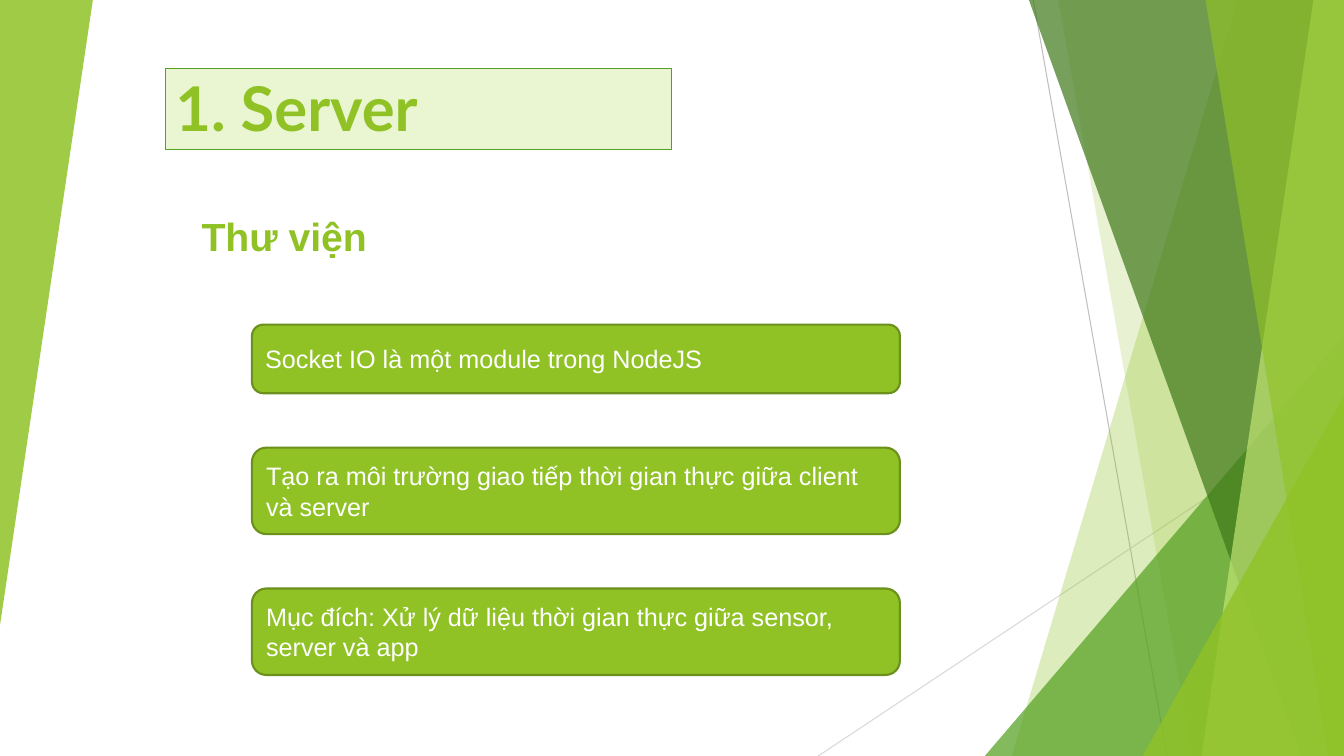
"""Build the slide on the server's library."""
from lxml import etree
from pptx import Presentation
from pptx.dml.color import RGBColor
from pptx.enum.shapes import MSO_CONNECTOR, MSO_SHAPE
from pptx.enum.text import MSO_ANCHOR, PP_ALIGN
from pptx.oxml.ns import qn
from pptx.util import Cm, Pt

STRAIGHT = MSO_CONNECTOR.STRAIGHT
RECTANGLE = MSO_SHAPE.RECTANGLE
ROUNDED = MSO_SHAPE.ROUNDED_RECTANGLE
TRIANGLE = MSO_SHAPE.ISOSCELES_TRIANGLE
TOP, MIDDLE, BOTTOM = MSO_ANCHOR.TOP, MSO_ANCHOR.MIDDLE, MSO_ANCHOR.BOTTOM
LEFT = PP_ALIGN.LEFT

WIDTH, HEIGHT = 33.87, 19.05
LIME, GREEN, WHITE = "90C226", "54A021", "FFFFFF"
OLIVE, FOREST, PALE, MINT = "6B901C", "3F7819", "C0E474", "EAF6D1"

NOTES = [
    ("Socket IO là một module trong NodeJS", 1.73),
    ("Tạo ra môi trường giao tiếp thời gian thực giữa client và server", 2.18),
    ("Mục đích: Xử lý dữ liệu thời gian thực giữa sensor, server và app", 2.18),
]
NOTE_TOP, NOTE_GAP = 8.18, 1.37


def rgb(value):
    """Turn a hex string into a colour."""
    return RGBColor.from_string(value)


def paint(shape, color, opacity=100):
    """Fill a shape with a colour at the given opacity in percent."""
    shape.shadow.inherit = False
    shape.fill.solid()
    shape.fill.fore_color.rgb = rgb(color)
    if opacity < 100:
        solid = shape.fill._xPr.find(qn("a:solidFill"))
        etree.SubElement(solid[0], qn("a:alpha"), val=str(opacity * 1000))


def add_ray(slide, start, end, color):
    """Draw a thin straight line across the background."""
    ray = slide.shapes.add_connector(STRAIGHT, *map(Cm, start + end))
    ray.line.color.rgb = rgb(color)
    ray.line.width = Pt(0.75)
    etree.SubElement(ray._element.spPr, qn("a:effectLst"))


def add_facet(slide, top_x, bottom_x, color, opacity):
    """Draw a full-height facet from a slanted edge to the right margin."""
    builder = slide.shapes.build_freeform(Cm(top_x), 0)
    corners = [(WIDTH, 0), (WIDTH, HEIGHT), (bottom_x, HEIGHT)]
    builder.add_line_segments([(Cm(x), Cm(y)) for x, y in corners])
    facet = builder.convert_to_shape()
    paint(facet, color, opacity)
    facet.line.fill.background()


def add_wedge(slide, left, top, width, height, color, opacity, rotation=0):
    """Draw a right-angled triangle."""
    wedge = slide.shapes.add_shape(TRIANGLE, *map(Cm, (left, top, width, height)))
    wedge.adjustments[0] = 1
    wedge.rotation = rotation
    paint(wedge, color, opacity)
    wedge.line.fill.background()


def add_corner_wedge(slide, left, top, color, opacity):
    """Draw a wedge that fills the lower right corner."""
    add_wedge(slide, left, top, WIDTH - left, HEIGHT - top, color, opacity)


def add_box(slide, kind, place, text, fill, border, weight, anchor,
            size, color, font="Arial", bold=False):
    """Draw a bordered box with left-aligned text."""
    box = slide.shapes.add_shape(kind, *map(Cm, place))
    paint(box, fill)
    box.line.color.rgb = rgb(border)
    box.line.width = Pt(weight)
    frame = box.text_frame
    frame.word_wrap = True
    frame.vertical_anchor = anchor
    paragraph = frame.paragraphs[0]
    paragraph.alignment = LEFT
    run = paragraph.add_run()
    run.text = text
    run.font.name = font
    run.font.size = Pt(size)
    run.font.bold = bold
    run.font.color.rgb = rgb(color)


def add_background(slide):
    """Draw the rays, facets and wedges along the slide's edges."""
    add_ray(slide, (26.04, 0), (29.41, HEIGHT), "BFBFBF")
    add_ray(slide, (WIDTH, 10.24), (20.62, HEIGHT), "D9D9D9")
    add_facet(slide, 31.19, 25.5, LIME, 30)
    add_facet(slide, 26.67, 30.05, LIME, 20)
    add_corner_wedge(slide, 24.82, 8.46, GREEN, 72)
    add_facet(slide, 25.93, 32.79, FOREST, 70)
    add_facet(slide, 33.1, 30.28, PALE, 70)
    add_facet(slide, 30.38, 33.48, LIME, 65)
    add_corner_wedge(slide, 28.8, 9.98, LIME, 80)
    add_wedge(slide, 0, 0, 2.34, 15.75, LIME, 85, rotation=180)


def main():
    """Build and save the slide."""
    deck = Presentation()
    deck.slide_width, deck.slide_height = Cm(WIDTH), Cm(HEIGHT)
    slide = deck.slides.add_slide(deck.slide_layouts[6])
    add_background(slide)
    add_box(slide, RECTANGLE, (4.17, 1.73, 12.75, 2.03), "1. Server",
            MINT, GREEN, 0.75, BOTTOM, 44, LIME, font="Lato", bold=True)
    add_box(slide, RECTANGLE, (4.83, 5.23, 6.48, 1.45), "Thư viện",
            WHITE, WHITE, 1.5, TOP, 28, LIME, bold=True)
    top = NOTE_TOP
    for note, height in NOTES:
        add_box(slide, ROUNDED, (6.35, top, 16.33, height), note,
                LIME, OLIVE, 1.5, MIDDLE, 18, WHITE)
        top += height + NOTE_GAP
    deck.save("out.pptx")


if __name__ == "__main__":
    main()
